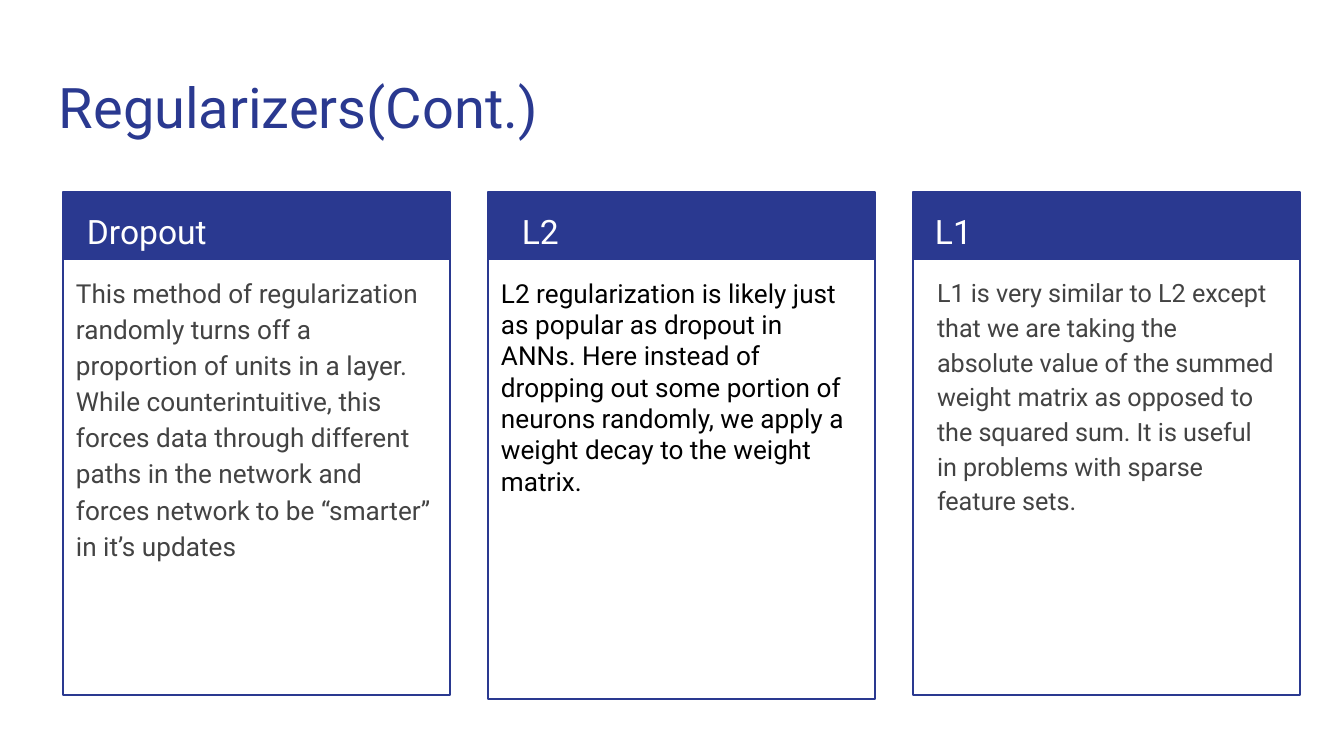
from dataclasses import dataclass

from pptx import Presentation
from pptx.dml.color import RGBColor
from pptx.enum.shapes import MSO_SHAPE
from pptx.enum.text import MSO_ANCHOR, PP_ALIGN
from pptx.util import Emu, Pt


@dataclass(frozen=True)
class Theme:
    font: str = "Roboto"
    navy: str = "2A3990"
    white: str = "FFFFFF"
    grey: str = "434343"
    black: str = "000000"
    title_size: float = 30
    label_size: float = 18
    body_size: float = 14
    small_body_size: float = 13.5
    border: float = 0.75


THEME = Theme()
TITLE = "Regularizers(Cont.)"
CARDS = [
    dict(
        label="Dropout", label_indent=11, height=503,
        body="This method of regularization randomly turns off a proportion of units "
             "in a layer. While counterintuitive, this forces data through different "
             "paths in the network and forces network to be “smarter” in it’s updates",
        body_box=(0, 387, 190), size=THEME.body_size, color=THEME.grey, spacing=1.15,
    ),
    dict(
        label="L2", label_indent=21, height=507,
        body="L2 regularization is likely just as popular as dropout in ANNs. Here "
             "instead of dropping out some portion of neurons randomly, we apply a "
             "weight decay to the weight matrix.",
        body_box=None, size=THEME.body_size, color=THEME.black, spacing=1.0,
    ),
    dict(
        label="L1", label_indent=9, height=503,
        body="L1 is very similar to L2 except that we are taking the absolute value of "
             "the summed weight matrix as opposed to the squared sum. It is useful in "
             "problems with sparse feature sets.",
        body_box=(11, 364, 411), size=THEME.small_body_size, color=THEME.grey, spacing=1.15,
    ),
]

PX = 914400 / 134.4
SLIDE_W, SLIDE_H = 1344, 756
CARD_LEFT, CARD_TOP, CARD_W, CARD_PITCH = 63, 192, 387, 425
HEADER_H, LABEL_W = 68, 367
INSET, FRAME_TEXT_TOP = 13, 85


def px(*lengths):
    return [Emu(round(length * PX)) for length in lengths]


def write(holder, text, size, color, spacing=1.0, top_inset=INSET):
    frame = holder.text_frame
    frame.word_wrap = True
    frame.vertical_anchor = MSO_ANCHOR.TOP
    frame.margin_left, frame.margin_top, frame.margin_right, frame.margin_bottom = px(
        INSET, top_inset, INSET, INSET)
    paragraph = frame.paragraphs[0]
    paragraph.text = text
    paragraph.alignment = PP_ALIGN.LEFT
    paragraph.line_spacing = spacing
    paragraph.font.name = THEME.font
    paragraph.font.size = Pt(size)
    paragraph.font.color.rgb = RGBColor.from_string(color)


def add_panel(shapes, *box):
    panel = shapes.add_shape(MSO_SHAPE.RECTANGLE, *px(*box))
    panel.shadow.inherit = False
    return panel


def add_card(shapes, left, card):
    header = add_panel(shapes, left, CARD_TOP, CARD_W, HEADER_H)
    header.fill.solid()
    header.fill.fore_color.rgb = RGBColor.from_string(THEME.navy)
    header.line.fill.background()

    outline = add_panel(shapes, left, CARD_TOP, CARD_W, card["height"])
    outline.fill.background()
    outline.line.color.rgb = RGBColor.from_string(THEME.navy)
    outline.line.width = Pt(THEME.border)

    label = shapes.add_textbox(*px(left + card["label_indent"], CARD_TOP, LABEL_W, HEADER_H))
    write(label, card["label"], THEME.label_size, THEME.white, 1.15)

    body, top_inset = outline, FRAME_TEXT_TOP
    if card["body_box"]:
        indent, width, height = card["body_box"]
        body = shapes.add_textbox(*px(left + indent, CARD_TOP + HEADER_H, width, height))
        top_inset = INSET
    write(body, card["body"], card["size"], card["color"], card["spacing"], top_inset)


def main():
    deck = Presentation()
    deck.slide_width, deck.slide_height = px(SLIDE_W, SLIDE_H)
    shapes = deck.slides.add_slide(deck.slide_layouts[6]).shapes

    title = shapes.add_textbox(*px(46, 60, 1253, 89))
    write(title, TITLE, THEME.title_size, THEME.navy)

    for column, card in enumerate(CARDS):
        add_card(shapes, CARD_LEFT + column * CARD_PITCH, card)

    deck.save("out.pptx")


if __name__ == "__main__":
    main()
